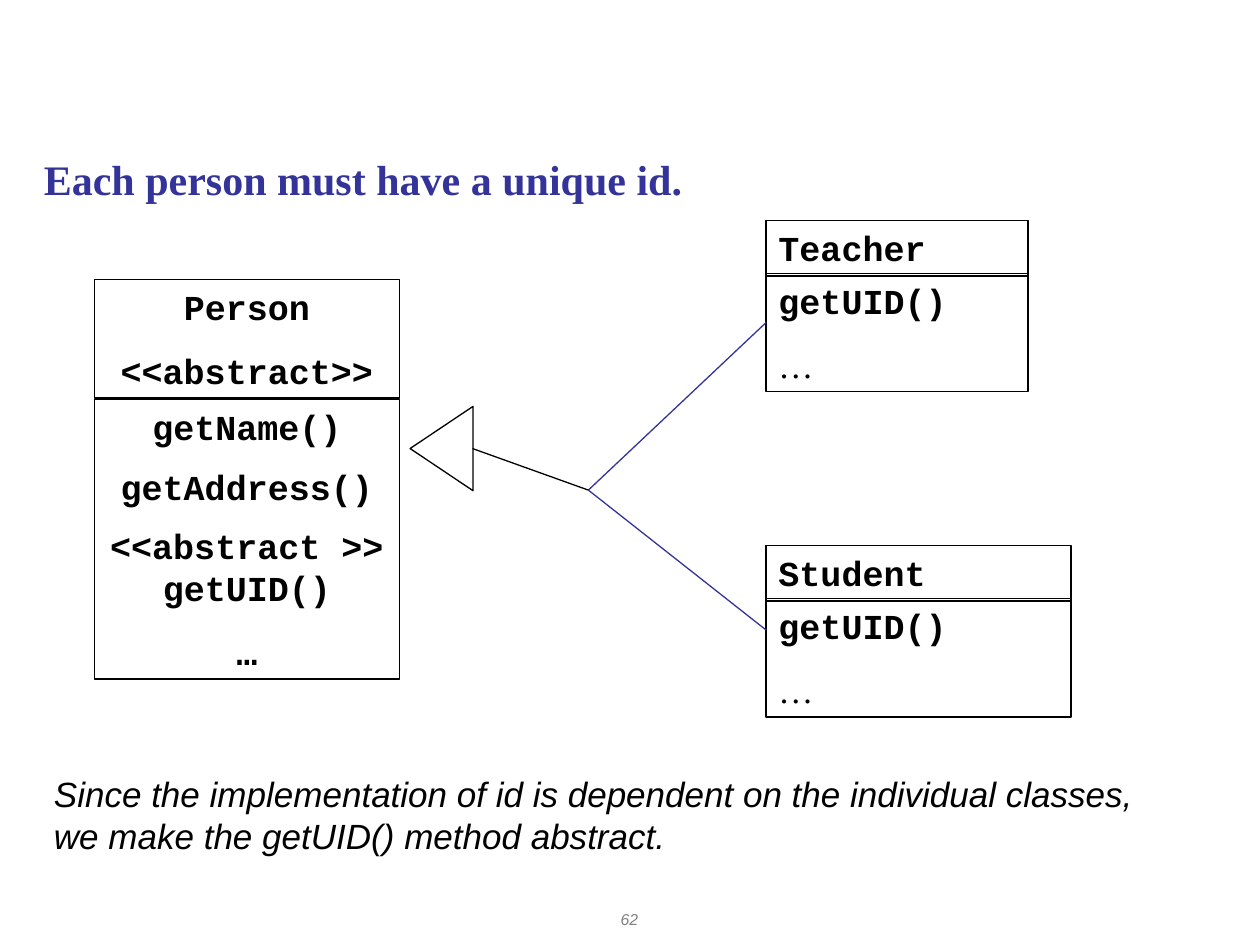
from pptx import Presentation
from pptx.dml.color import RGBColor
from pptx.enum.shapes import MSO_CONNECTOR as Link, MSO_SHAPE as Shape
from pptx.enum.text import MSO_ANCHOR as Anchor, MSO_AUTO_SIZE as Fit, PP_ALIGN as Align
from pptx.oxml.ns import qn
from pptx.util import Inches, Pt

MONO, SERIF, SANS = "Courier New", "Times New Roman", "Arial"
BLACK, BLUE, GRAY = "000000", "333399", "808080"


def color(code):
    return RGBColor.from_string(code)


def write(frame, text, size=20, font=MONO, ink=BLACK, bold=False, italic=False,
          align=Align.LEFT, gaps=(), grow=True):
    """Fill a frame, one paragraph per line; gaps hold the space before each."""
    frame.word_wrap = True
    frame.vertical_anchor = Anchor.TOP
    frame.auto_size = Fit.SHAPE_TO_FIT_TEXT if grow else Fit.NONE
    for i, line in enumerate(text.split("\n")):
        para = frame.add_paragraph() if i else frame.paragraphs[0]
        para.alignment = align
        para.space_before = Pt(gaps[i] if gaps else 0)
        run = para.add_run()
        run.text = line
        run.font.name, run.font.size = font, Pt(size)
        run.font.bold, run.font.italic = bold, italic
        run.font.color.rgb = color(ink)


def outline(slide, kind, x, y, w, h):
    shape = slide.shapes.add_shape(kind, Inches(x), Inches(y), Inches(w), Inches(h))
    shape.shadow.inherit = False
    shape.fill.background()
    shape.line.color.rgb = color(BLACK)
    shape.line.width = Pt(0.75)
    return shape


def box(slide, x, y, w, h, text, **style):
    shape = outline(slide, Shape.RECTANGLE, x, y, w, h)
    write(shape.text_frame, text, bold=True, **style)
    return shape


def label(slide, x, y, w, h, text, **style):
    shape = slide.shapes.add_textbox(Inches(x), Inches(y), Inches(w), Inches(h))
    write(shape.text_frame, text, **style)


def link(slide, start, end, ink):
    line = slide.shapes.add_connector(Link.STRAIGHT, *map(Inches, start + end))
    line.line.color.rgb = color(ink)
    line.line.width = Pt(0.75)
    props = line._element.spPr
    props.append(props.makeelement(qn("a:effectLst"), {}))


def child(slide, name, y, w):
    """Draw a subclass: a name box above its method box."""
    x = 6.08
    box(slide, x, y, w, 0.44, name)
    body = box(slide, x, y + 0.42, w, 0.94, "getUID()\n…", gaps=(0, 12.5))
    dots = body.text_frame.paragraphs[1].runs[0].font
    dots.name, dots.bold = SERIF, False


def main():
    deck = Presentation()
    deck.slide_width, deck.slide_height = Inches(10), Inches(7.5)
    slide = deck.slides.add_slide(deck.slide_layouts[6])

    # Heading
    label(slide, 0.25, 1.17, 6, 0.5, "Each person must have a unique id.",
          size=24, font=SERIF, ink=BLUE, bold=True)

    # Abstract parent class
    box(slide, 0.75, 2.22, 2.42, 0.94, "Person\n<<abstract>>",
        align=Align.CENTER, gaps=(0, 12.5))
    box(slide, 0.75, 3.17, 2.42, 2.22,
        "getName()\ngetAddress()\n<<abstract >>\ngetUID()\n…",
        align=Align.CENTER, gaps=(0, 10, 10, 0, 12.5))

    # Subclasses
    child(slide, "Teacher", 1.75, 2.08)
    child(slide, "Student", 4.33, 2.42)

    # Inheritance arrow and its branches
    fork = (4.67, 3.89)
    for y in (2.56, 5):
        link(slide, fork, (6.08, y), BLUE)
    tip = outline(slide, Shape.ISOSCELES_TRIANGLE, 3.17, 3.31, 0.67, 0.5)
    tip.rotation = 270
    link(slide, (3.75, 3.56), fork, BLACK)

    # Closing remark and page number
    label(slide, 0.33, 6.08, 9.17, 0.77,
          "Since the implementation of id is dependent on the individual classes, "
          "we make the getUID() method abstract.", font=SANS, italic=True)
    label(slide, 3.83, 7.17, 2.33, 0.26, "62", size=9, font=SANS, ink=GRAY,
          italic=True, align=Align.CENTER, grow=False)

    deck.save("out.pptx")


if __name__ == "__main__":
    main()
